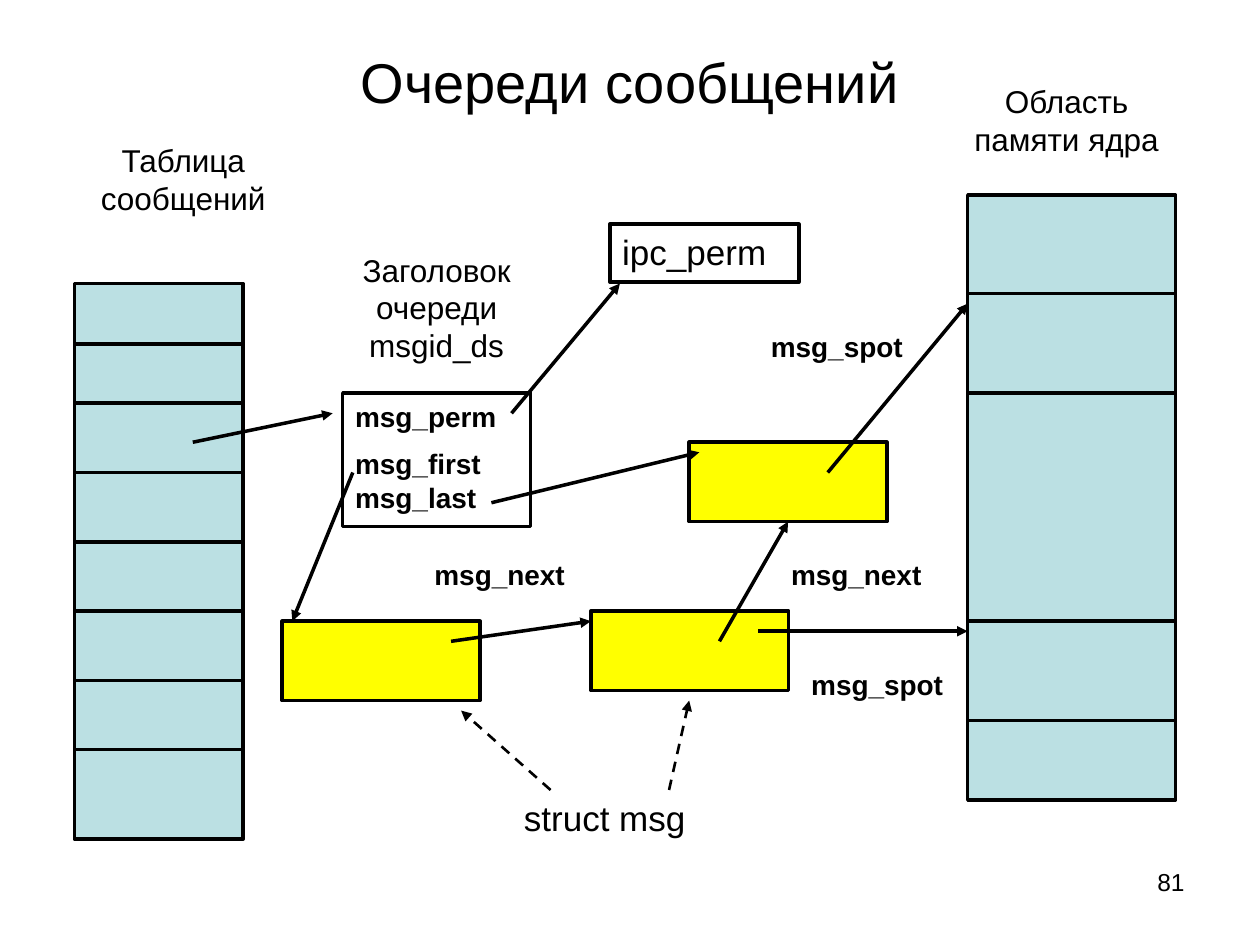
from dataclasses import dataclass
from typing import NamedTuple, Optional

from lxml import etree
from pptx import Presentation
from pptx.dml.color import RGBColor
from pptx.enum.dml import MSO_LINE
from pptx.enum.shapes import MSO_CONNECTOR, MSO_SHAPE
from pptx.enum.text import MSO_ANCHOR, PP_ALIGN
from pptx.oxml.ns import qn
from pptx.util import Inches, Pt

RECT = MSO_SHAPE.RECTANGLE
STRAIGHT = MSO_CONNECTOR.STRAIGHT
DASH = MSO_LINE.DASH
TOP, MIDDLE = MSO_ANCHOR.TOP, MSO_ANCHOR.MIDDLE
LEFT, CENTER, RIGHT = PP_ALIGN.LEFT, PP_ALIGN.CENTER, PP_ALIGN.RIGHT
BOTTOM_SIDE = 2


@dataclass(frozen=True)
class Theme:
    font: str = "Arial"
    ink: RGBColor = RGBColor(0x00, 0x00, 0x00)
    memory: RGBColor = RGBColor(0xBB, 0xE0, 0xE3)
    message: RGBColor = RGBColor(0xFF, 0xFF, 0x00)
    title: int = 32
    name: int = 20
    caption: int = 18
    field: int = 16
    number: int = 14
    line: float = 2
    thin: float = 1.5


class Box(NamedTuple):
    x: float
    y: float
    w: float
    h: float


class Label(NamedTuple):
    box: Box
    text: str
    size: int
    align: PP_ALIGN = LEFT
    bold: bool = False


class Column(NamedTuple):
    box: Box
    dividers: list[float]


class Arrow(NamedTuple):
    x1: float
    y1: float
    x2: float
    y2: float
    dashed: bool = False


THEME = Theme()

COLUMNS = [
    Column(Box(0.59, 2.25, 1.34, 4.41),
           [2.73] + [3.2 + 0.55 * i for i in range(6)]),
    Column(Box(7.68, 1.55, 1.65, 4.8), [2.33, 3.12, 4.93, 5.72]),
]

MESSAGE_W, MESSAGE_H = 1.57, 0.63
FIRST_MESSAGES = [(2.24, 4.93), (4.69, 4.85)]
LAST_MESSAGE = (5.47, 3.51)

FIELD_W, FIELD_H = 1.34, 0.37
FIELDS = [
    ("msg_next", 6.18, 4.38),
    ("msg_next", 3.35, 4.38),
    ("msg_spot", 6.02, 2.57),
    ("msg_spot", 6.34, 5.25),
]

LABELS = [
    Label(Box(7.17, 6.83, 2.33, 0.52), "81", THEME.number, RIGHT),
    Label(Box(0.59, 1.07, 1.73, 0.7), "Таблица сообщений", THEME.caption, CENTER),
    Label(Box(2.64, 1.94, 1.65, 1), "Заголовок очереди msgid_ds", THEME.caption, CENTER),
    Label(Box(7.44, 0.6, 2.05, 0.7), "Область памяти ядра", THEME.caption, CENTER),
    Label(Box(4.06, 6.27, 1.49, 0.43), "struct msg", THEME.name),
] + [Label(Box(x, y, FIELD_W, FIELD_H), text, THEME.field, bold=True)
     for text, x, y in FIELDS]

FRAMES = [
    Label(Box(2.72, 3.12, 1.49, 1.06), "msg_perm\nmsg_first msg_last",
          THEME.field, bold=True),
    Label(Box(4.84, 1.78, 1.5, 0.46), "ipc_perm", THEME.name),
]

ARROWS = [
    Arrow(4.06, 3.28, 4.92, 2.25),
    Arrow(1.53, 3.51, 2.64, 3.28),
    Arrow(2.8, 3.75, 2.32, 4.93),
    Arrow(3.9, 3.99, 5.55, 3.59),
    Arrow(3.58, 5.09, 4.69, 4.93),
    Arrow(6.57, 3.75, 7.68, 2.41),
    Arrow(6.02, 5.01, 7.68, 5.01),
    Arrow(4.37, 6.27, 3.66, 5.64, dashed=True),
    Arrow(5.31, 6.27, 5.47, 5.56, dashed=True),
]
LAST_LINK = Arrow(5.71, 5.09, 6.26, 4.14)


def inches(values) -> list[Inches]:
    return [Inches(v) for v in values]


def write(tf, text: str, size: int, align: PP_ALIGN = LEFT,
          bold: bool = False, anchor: MSO_ANCHOR = TOP) -> None:
    """Fill a text frame, one paragraph per line, half a line apart."""
    tf.text = text
    tf.word_wrap = True
    tf.vertical_anchor = anchor
    for i, p in enumerate(tf.paragraphs):
        p.alignment = align
        p.space_before = Pt(size / 2 if i else 0)
        p.font.name = THEME.font
        p.font.size = Pt(size)
        p.font.bold = bold
        p.font.color.rgb = THEME.ink


def add_label(s, label: Label) -> None:
    tb = s.shapes.add_textbox(*inches(label.box))
    write(tb.text_frame, *label[1:])


def add_box(s, box: Box, fill: Optional[RGBColor] = None):
    sp = s.shapes.add_shape(RECT, *inches(box))
    sp.shadow.inherit = False
    if fill is None:
        sp.fill.background()
    else:
        sp.fill.solid()
        sp.fill.fore_color.rgb = fill
    sp.line.color.rgb = THEME.ink
    sp.line.width = Pt(THEME.line)
    return sp


def add_line(s, x1: float, y1: float, x2: float, y2: float,
             width: float = THEME.line):
    line = s.shapes.add_connector(STRAIGHT, *inches((x1, y1, x2, y2)))
    line.line.color.rgb = THEME.ink
    line.line.width = Pt(width)
    etree.SubElement(line._element.spPr, qn("a:effectLst"))
    return line


def add_arrow(s, arrow: Arrow):
    line = add_line(s, *arrow[:4], THEME.thin if arrow.dashed else THEME.line)
    if arrow.dashed:
        line.line.dash_style = DASH
    etree.SubElement(line.line._get_or_add_ln(), qn("a:tailEnd"), type="triangle")
    return line


def add_column(s, column: Column) -> None:
    box = column.box
    add_box(s, box, THEME.memory)
    for y in column.dividers:
        add_line(s, box.x, y, box.x + box.w, y)


def add_message(s, x: float, y: float):
    return add_box(s, Box(x, y, MESSAGE_W, MESSAGE_H), THEME.message)


def main() -> None:
    prs = Presentation()
    prs.slide_width, prs.slide_height = Inches(10), Inches(7.5)
    s = prs.slides.add_slide(prs.slide_layouts[5])

    title = s.shapes.title
    title.left, title.top, title.width, title.height = inches((0.5, 0.3, 9, 0.69))
    write(title.text_frame, "Очереди сообщений", THEME.title, CENTER, anchor=MIDDLE)

    for column in COLUMNS:
        add_column(s, column)
    for frame in FRAMES:
        write(add_box(s, frame.box).text_frame, *frame[1:])
    for x, y in FIRST_MESSAGES:
        add_message(s, x, y)
    last = add_message(s, *LAST_MESSAGE)
    for label in LABELS:
        add_label(s, label)
    for arrow in ARROWS:
        add_arrow(s, arrow)
    add_arrow(s, LAST_LINK).end_connect(last, BOTTOM_SIDE)

    prs.save("out.pptx")


if __name__ == "__main__":
    main()
